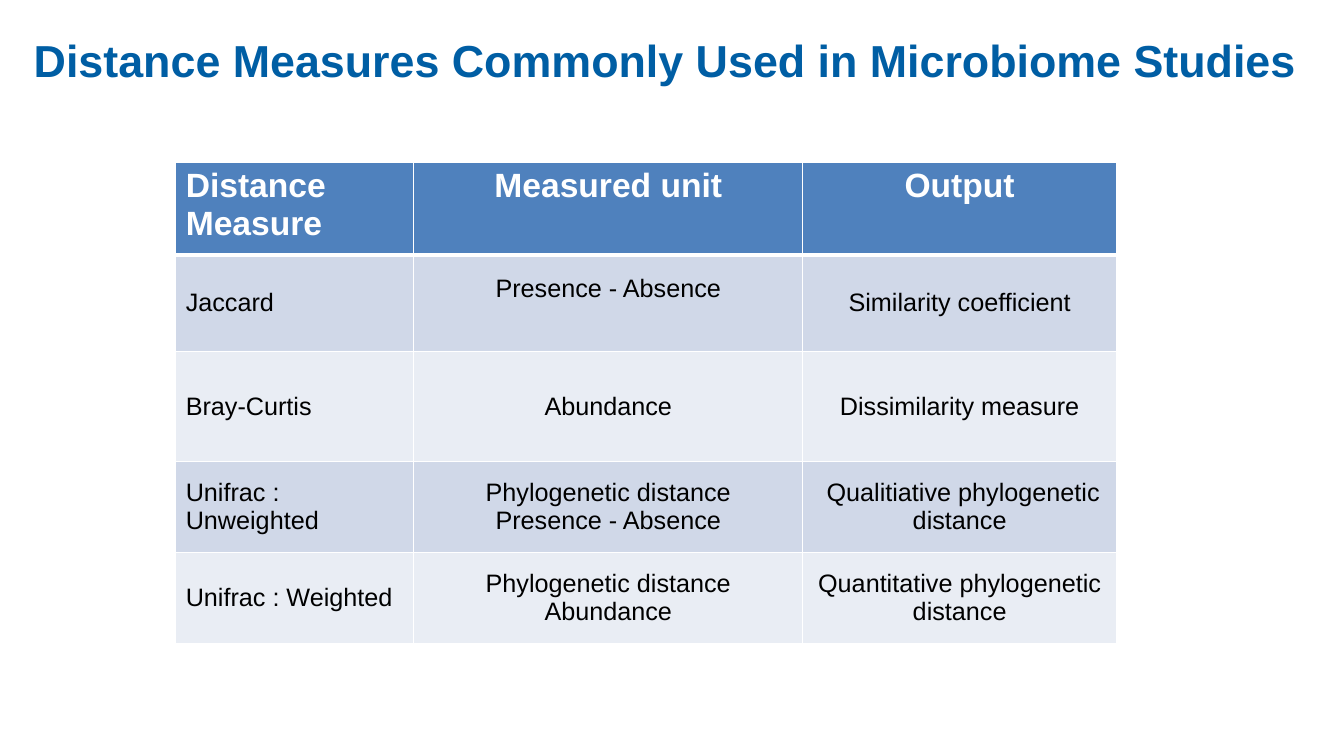
from lxml import etree
from pptx import Presentation
from pptx import util as u
from pptx.dml.color import RGBColor
from pptx.enum import shapes, text
from pptx.oxml import ns

WHITE = RGBColor(0xFF, 0xFF, 0xFF)
BLACK = RGBColor(0x00, 0x00, 0x00)
TITLE_BLUE = RGBColor(0x00, 0x5E, 0xA4)
HEADER_BLUE = RGBColor(0x4F, 0x81, 0xBD)
BAND_DARK = RGBColor(0xD0, 0xD8, 0xE8)
BAND_LIGHT = RGBColor(0xE9, 0xED, 0xF4)


def write(frame, content, size=18, color=BLACK, bold=False, align=text.PP_ALIGN.CENTER):
    frame.text = content
    for paragraph in frame.paragraphs:
        paragraph.alignment = align
        paragraph.font.name = "Arial"
        paragraph.font.size = u.Pt(size)
        paragraph.font.bold = bold
        paragraph.font.color.rgb = color


def add_border(cell, side, width):
    properties = cell._tc.get_or_add_tcPr()
    line = etree.Element(ns.qn(f"a:ln{side}"), w=str(u.Pt(width)))
    fill = etree.SubElement(line, ns.qn("a:solidFill"))
    etree.SubElement(fill, ns.qn("a:srgbClr"), val=str(WHITE))
    # Borders come before the cell fill
    properties.insert(len(properties.findall("*")) - 1, line)


presentation = Presentation()
presentation.slide_width = u.Pt(960)
presentation.slide_height = u.Pt(540)
slide = presentation.slides.add_slide(presentation.slide_layouts[6])

# Title
title = slide.shapes.add_shape(
    shapes.MSO_SHAPE.RECTANGLE, u.Pt(13.7), u.Pt(19.5), u.Pt(932.4), u.Pt(46))
title.shadow.inherit = False
title.fill.solid()
title.fill.fore_color.rgb = WHITE
title.line.fill.background()
title.text_frame.word_wrap = False
title.text_frame.auto_size = text.MSO_AUTO_SIZE.SHAPE_TO_FIT_TEXT
title.text_frame.vertical_anchor = text.MSO_ANCHOR.TOP
write(title.text_frame, "Distance Measures Commonly Used in Microbiome Studies ",
      size=32, color=TITLE_BLUE, bold=True)

# Table
rows = [
    ("Distance Measure", "Measured unit", "Output"),
    ("Jaccard", "Presence - Absence", "Similarity coefficient"),
    ("Bray-Curtis", "Abundance", "Dissimilarity measure"),
    ("Unifrac : Unweighted", "Phylogenetic distance\nPresence - Absence",
     " Qualitiative phylogenetic distance"),
    ("Unifrac : Weighted", "Phylogenetic distance\nAbundance",
     "Quantitative phylogenetic distance"),
]
column_widths = [170, 278, 224]
row_heights = [66, 69, 78.5, 65, 65]

table = slide.shapes.add_table(
    len(rows), len(column_widths), u.Pt(125.5), u.Pt(116),
    u.Pt(sum(column_widths)), u.Pt(sum(row_heights))).table
for column, width in zip(table.columns, column_widths):
    column.width = u.Pt(width)

for row_index, (contents, height) in enumerate(zip(rows, row_heights)):
    table.rows[row_index].height = u.Pt(height)
    header = row_index == 0
    band = BAND_DARK if row_index % 2 else BAND_LIGHT
    for column_index, content in enumerate(contents):
        cell = table.cell(row_index, column_index)
        cell.vertical_anchor = text.MSO_ANCHOR.TOP if header else text.MSO_ANCHOR.MIDDLE
        cell.fill.solid()
        cell.fill.fore_color.rgb = HEADER_BLUE if header else band
        write(cell.text_frame, content, size=24 if header else 18,
              color=WHITE if header else BLACK, bold=header,
              align=text.PP_ALIGN.CENTER if column_index else text.PP_ALIGN.LEFT)
        # A thick rule divides the header from the body
        add_border(cell, "L", 1)
        add_border(cell, "R", 1)
        add_border(cell, "T", 3 if row_index == 1 else 1)
        add_border(cell, "B", 3 if header else 1)

# The Jaccard unit sits above the middle of its cell
table.cell(1, 1).margin_bottom = u.Pt(23.6)

presentation.save("out.pptx")
